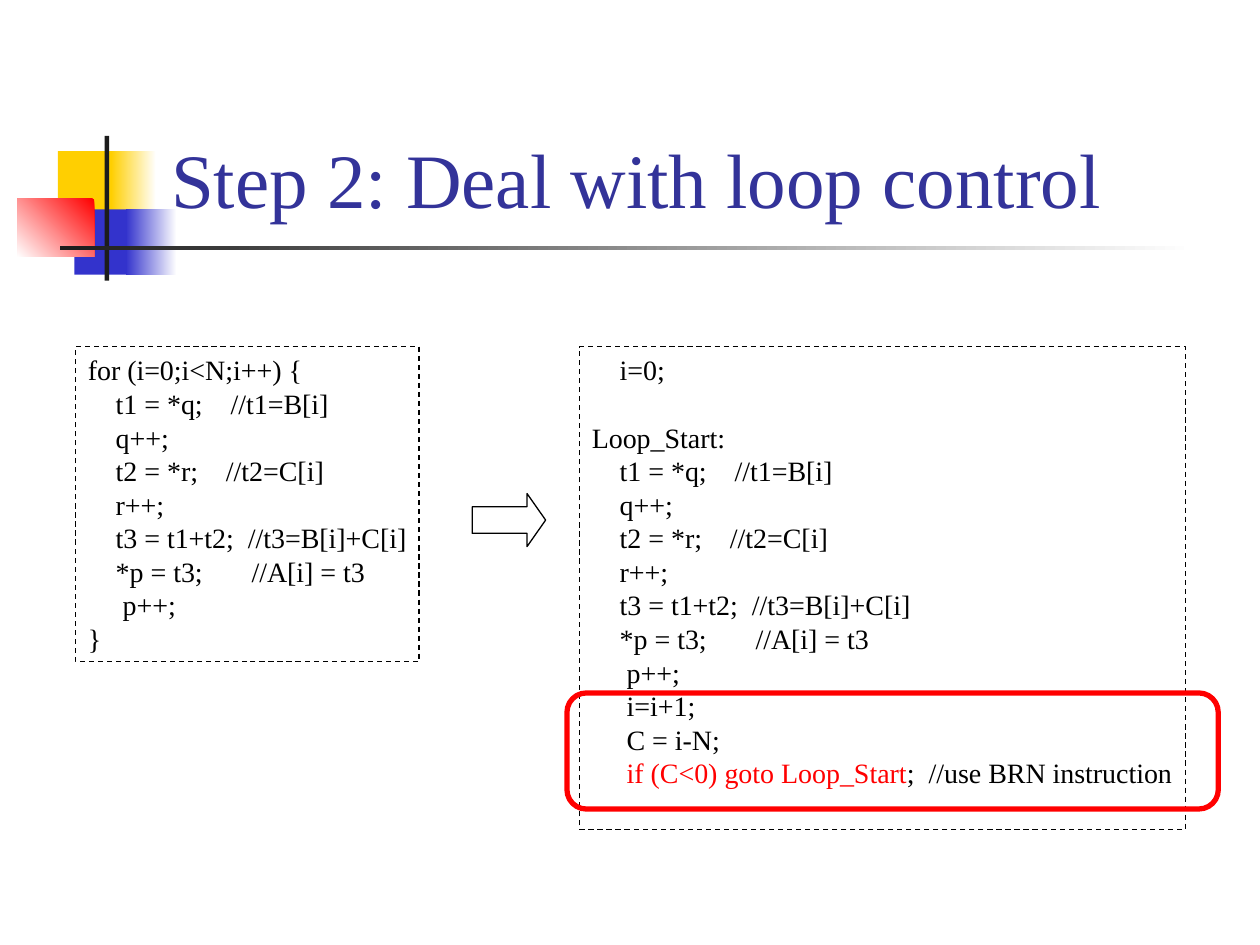
from pptx import Presentation
from pptx.dml.color import RGBColor
from pptx.enum import dml, shapes, text
from pptx.util import Cm, Pt

WHITE = RGBColor(0xFF, 0xFF, 0xFF)
BLACK = RGBColor(0x00, 0x00, 0x00)
CHARCOAL = RGBColor(0x1C, 0x1C, 0x1C)
YELLOW = RGBColor(0xFF, 0xCF, 0x01)
BLUE = RGBColor(0x33, 0x33, 0xCC)
RED = RGBColor(0xFF, 0x00, 0x00)
TITLE = RGBColor(0x33, 0x33, 0x99)
FONT = "Times New Roman"
SHAPE = shapes.MSO_SHAPE
LINE_PITCH = Pt(19.2)

LOOP_BODY = [
    "    t1 = *q;    //t1=B[i]",
    "    q++;",
    "    t2 = *r;    //t2=C[i]",
    "    r++;",
    "    t3 = t1+t2;  //t3=B[i]+C[i]",
    "    *p = t3;       //A[i] = t3",
    "     p++;",
]
FOR_LOOP = ["for (i=0;i<N;i++) {", *LOOP_BODY, "}"]
GOTO_LOOP = ["    i=0;", "Loop_Start:", *LOOP_BODY, "     i=i+1;", "     C = i-N;"]

prs = Presentation()
prs.slide_width, prs.slide_height = Cm(25.4), Cm(19.05)
s = prs.slides.add_slide(prs.slide_layouts[6])


def add_shape(kind, box, line=None, width=0.75):
    """Add an unfilled shape; box is left, top, width, height in cm."""
    sp = s.shapes.add_shape(kind, *[Cm(v) for v in box])
    sp.shadow.inherit = False
    sp.fill.background()
    if line is None:
        sp.line.fill.background()
    else:
        sp.line.color.rgb = line
        sp.line.width = Pt(width)
    return sp


def add_run(p, content, size, color):
    r = p.add_run()
    r.text = content
    r.font.name, r.font.size = FONT, Pt(size)
    r.font.color.rgb = color


# Decoration: one colour is solid, two colours are a gradient with its angle
decoration = [
    ((1.17, 3.05, 1.22, 1.32), [YELLOW], 0),
    ((2.24, 3.05, 0.91, 1.32), [WHITE, YELLOW], 180),
    ((1.5, 4.22, 1.17, 1.32), [BLUE], 0),
    ((2.54, 4.22, 1.02, 1.32), [WHITE, BLUE], 180),
    ((0.35, 4.01, 1.55, 1.17), [RED, WHITE], 225),
    ((2.11, 2.74, 0.09, 2.92), [CHARCOAL], 0),
    ((1.22, 4.95, 22.86, 0.09), [WHITE, CHARCOAL], 180),
]
for box, colors, angle in decoration:
    sp = add_shape(SHAPE.RECTANGLE, box)
    if len(colors) == 1:
        sp.fill.solid()
        sp.fill.fore_color.rgb = colors[0]
    else:
        sp.fill.gradient()
        sp.fill.gradient_angle = angle
        for stop, color in zip(sp.fill.gradient_stops, colors):
            stop.color.rgb = color

# Title
tf = s.shapes.add_textbox(Cm(3.2), Cm(0.58), Cm(21.64), Cm(4.06)).text_frame
tf.word_wrap = True
tf.vertical_anchor = text.MSO_ANCHOR.BOTTOM
add_run(tf.paragraphs[0], "Step 2: Deal with loop control", 44, TITLE)

# Code before and after the loop control is spelled out
for box, lines in [
    ((1.52, 6.99, 6.93, 6.35), FOR_LOOP),
    ((11.68, 6.99, 12.22, 9.73), GOTO_LOOP),
]:
    sp = add_shape(SHAPE.RECTANGLE, box, BLACK)
    sp.line.dash_style = dml.MSO_LINE.DASH
    tf = sp.text_frame
    tf.word_wrap = False
    tf.vertical_anchor = text.MSO_ANCHOR.TOP
    for i, line in enumerate(lines):
        p = tf.paragraphs[0] if i == 0 else tf.add_paragraph()
        if line == "Loop_Start:":
            p.space_before = LINE_PITCH
        add_run(p, line, 16, BLACK)
    if lines is GOTO_LOOP:
        p = tf.add_paragraph()
        add_run(p, "     ", 16, BLACK)
        add_run(p, "if (C<0) goto Loop_Start", 16, RED)
        add_run(p, ";  //use BRN instruction", 16, BLACK)
    for p in tf.paragraphs:
        p.alignment = text.PP_ALIGN.LEFT
        p.line_spacing = LINE_PITCH

sp = add_shape(SHAPE.RIGHT_ARROW, (9.52, 9.95, 1.48, 1.07), BLACK)
sp.adjustments[1] = 0.35
add_shape(SHAPE.ROUNDED_RECTANGLE, (11.43, 13.97, 13.13, 2.34), RED, 3)

prs.save("out.pptx")
